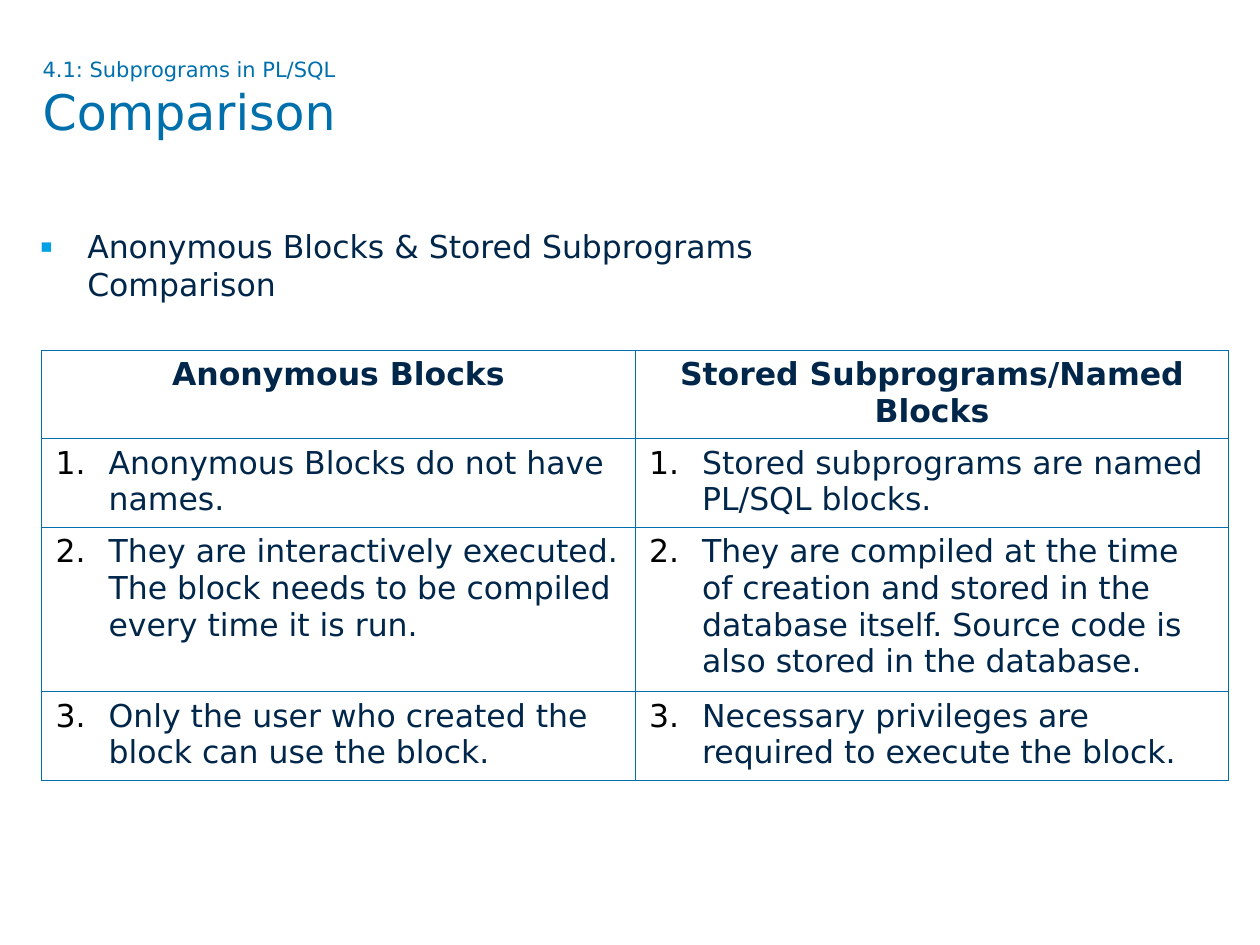
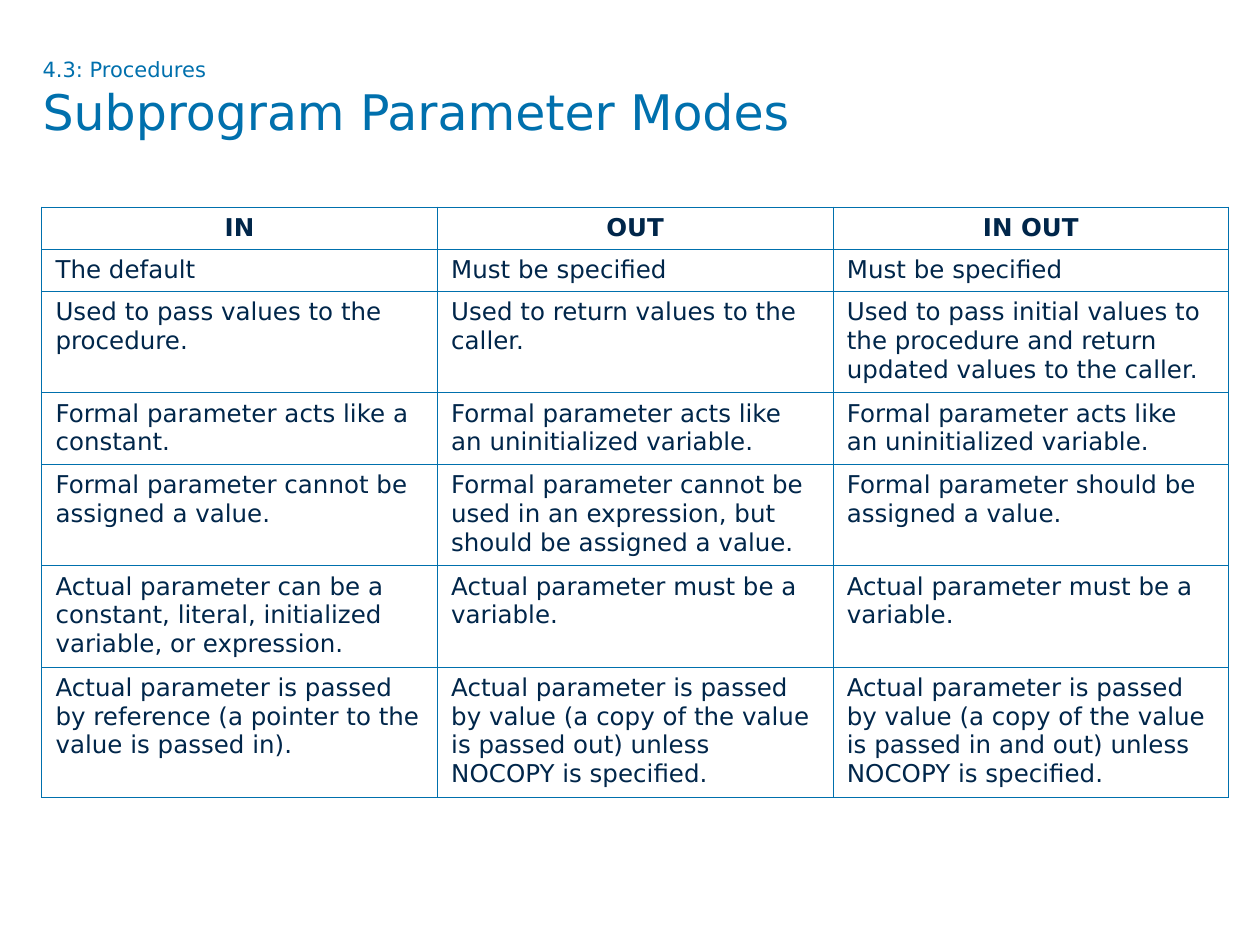
from lxml import etree
from pptx import Presentation
from pptx import util as u
from pptx.dml.color import RGBColor
from pptx.enum import text as t
from pptx.oxml import ns

BLUE = RGBColor(0x00, 0x70, 0xAD)
NAVY = RGBColor(0x00, 0x26, 0x4A)
SKY = RGBColor(0x00, 0xA1, 0xE4)
BLACK = RGBColor(0, 0, 0)
FONT = "DejaVu Sans"
TABLE_LEFT, TABLE_WIDTH = 0.84, 23.93


def add_xml(parent, tag, **attributes):
    return etree.SubElement(parent, ns.qn(tag), attributes)


def write(paragraph, text, size=18, color=NAVY, bold=False, centered=False,
          indent=0, mark=None, mark_color=BLACK, mark_size=100):
    """Fill a paragraph; mark is a bullet character or a list number."""
    if centered:
        paragraph.alignment = t.PP_ALIGN.CENTER
    if mark:
        props = paragraph._p.get_or_add_pPr()
        props.set("marL", str(u.Cm(indent)))
        props.set("indent", str(-u.Cm(indent)))
        add_xml(add_xml(props, "a:buClr"), "a:srgbClr", val=str(mark_color))
        add_xml(props, "a:buSzPct", val=str(mark_size * 1000))
        add_xml(props, "a:buFont", typeface=FONT)
        if isinstance(mark, int):
            add_xml(props, "a:buAutoNum", type="arabicPeriod", startAt=str(mark))
        else:
            add_xml(props, "a:buChar", char=mark)
    run = paragraph.add_run()
    run.text = text
    run.font.name = FONT
    run.font.size = u.Pt(size)
    run.font.bold = bold
    run.font.color.rgb = color


# Content: the first row of each table is its header
pages = [
    dict(
        section="4.1: Subprograms in PL/SQL", title="Comparison",
        intro="Anonymous Blocks & Stored Subprograms Comparison",
        top=7.06, size=18, numbered=True,
        heights=[1.78, 1.78, 3.3, 1.78],
        rows=[
            ["Anonymous Blocks", "Stored Subprograms/Named Blocks"],
            ["Anonymous Blocks do not have names.",
             "Stored subprograms are named PL/SQL blocks."],
            ["They are interactively executed. The block needs to be compiled "
             "every time it is run.",
             "They are compiled at the time of creation and stored in the "
             "database itself. Source code is also stored in the database."],
            ["Only the user who created the block can use the block.",
             "Necessary privileges are required to execute the block."],
        ]),
    dict(
        section="4.3: Procedures", title="Subprogram Parameter Modes",
        intro=None,
        top=4.17, size=14, numbered=False,
        heights=[0.85, 0.85, 2.03, 1.44, 2.03, 2.03, 2.63],
        rows=[
            ["IN", "OUT", "IN OUT"],
            ["The default", "Must be specified", "Must be specified"],
            ["Used to pass values to the procedure.",
             "Used to return values to the caller.",
             "Used to pass initial values to the procedure and return updated "
             "values to the caller."],
            ["Formal parameter acts like a constant.",
             "Formal parameter acts like an uninitialized variable.",
             "Formal parameter acts like an uninitialized variable."],
            ["Formal parameter cannot be assigned a value.",
             "Formal parameter cannot be used in an expression, but should be "
             "assigned a value.",
             "Formal parameter should be assigned a value."],
            ["Actual parameter can be a constant, literal, initialized "
             "variable, or expression.",
             "Actual parameter must be a variable.",
             "Actual parameter must be a variable."],
            ["Actual parameter is passed by reference (a pointer to the value "
             "is passed in).",
             "Actual parameter is passed by value (a copy of the value is "
             "passed out) unless NOCOPY is specified.",
             "Actual parameter is passed by value (a copy of the value is "
             "passed in and out) unless NOCOPY is specified."],
        ]),
]

deck = Presentation()
deck.slide_width, deck.slide_height = u.Cm(25.4), u.Cm(19.05)

for page in pages:
    slide = deck.slides.add_slide(deck.slide_layouts[6])

    # Section line and title
    heading = slide.shapes.add_textbox(
        u.Cm(0.86), u.Cm(1.14), u.Cm(23.7), u.Cm(2.39)).text_frame
    heading.word_wrap = True
    heading.margin_left = heading.margin_right = 0
    heading.margin_top = heading.margin_bottom = 0
    write(heading.paragraphs[0], page["section"], size=12, color=BLUE)
    write(heading.add_paragraph(), page["title"], size=28, color=BLUE)

    # Comparison table
    rows = page["rows"]
    columns = len(rows[0])
    grid = slide.shapes.add_table(
        len(rows), columns, u.Cm(TABLE_LEFT), u.Cm(page["top"]),
        u.Cm(TABLE_WIDTH), u.Cm(sum(page["heights"]))).table
    grid.horz_banding = False
    for column in grid.columns:
        column.width = u.Cm(TABLE_WIDTH / columns)
    for r, (row, height) in enumerate(zip(rows, page["heights"])):
        grid.rows[r].height = u.Cm(height)
        for c, entry in enumerate(row):
            cell = grid.cell(r, c)
            cell.margin_left = cell.margin_right = u.Cm(0.28)
            cell.margin_top = cell.margin_bottom = u.Cm(0.13)
            for side in ("a:lnL", "a:lnR", "a:lnT", "a:lnB"):
                border = add_xml(cell._tc.get_or_add_tcPr(), side,
                                 w=str(u.Pt(0.45)))
                add_xml(add_xml(border, "a:solidFill"), "a:srgbClr",
                        val=str(BLUE))
            cell.fill.background()
            write(cell.text_frame.paragraphs[0], entry, size=page["size"],
                  bold=r == 0, centered=r == 0, indent=1.07,
                  mark=r if page["numbered"] else None)

    # Bulleted introduction
    if page["intro"]:
        intro = slide.shapes.add_textbox(
            u.Cm(0.56), u.Cm(4.45), u.Cm(17.9), u.Cm(1.02)).text_frame
        intro.word_wrap = True
        write(intro.paragraphs[0], page["intro"], indent=0.95, mark="▪",
              mark_color=SKY, mark_size=60)

deck.save("out.pptx")
